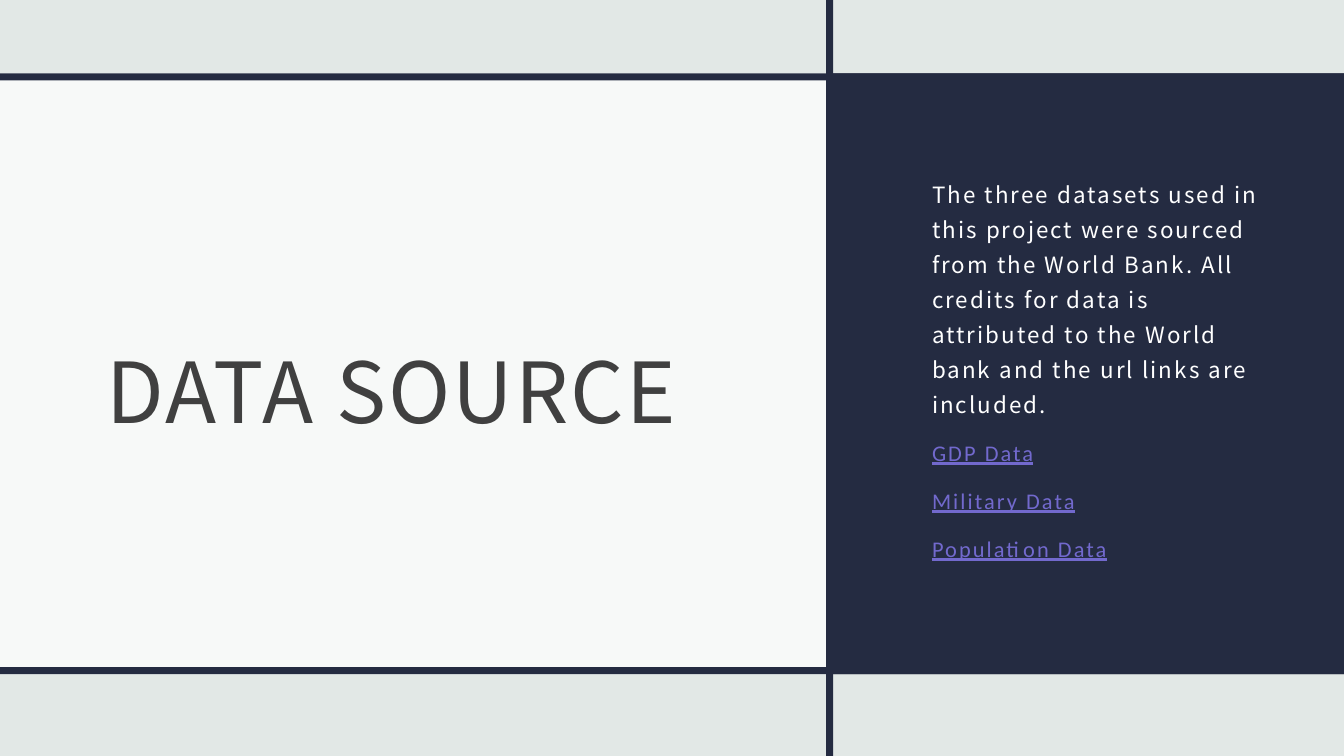
from lxml.etree import SubElement
from pptx import Presentation
from pptx.dml.color import RGBColor
from pptx.enum.shapes import MSO_SHAPE
from pptx.enum.text import MSO_ANCHOR
from pptx.oxml.ns import qn
from pptx.util import Cm, Pt

NAVY = RGBColor(0x24, 0x2B, 0x41)
MIST = RGBColor(0xE2, 0xE8, 0xE6)
WHITE = RGBColor(0xFF, 0xFF, 0xFF)
GRAY = RGBColor(0x40, 0x40, 0x40)
VIOLET = RGBColor(0x72, 0x69, 0xCD)

SANS = "Noto Sans CJK JP"
WIDTH, HEIGHT = 33.87, 19.05
BAR = 0.18
SPLIT = 20.82
BAND_TOP, BAND_HEIGHT = 1.85, 15.14

INTRO = ("The three datasets used in this project were sourced from the World Bank. "
         "All credits for data is attributed to the World bank and the url links are included.")
LINKS = ["GDP Data", "Military Data", "Population Data"]


def add_rect(slide, x, y, w, h, color, opacity=100):
    s = slide.shapes.add_shape(MSO_SHAPE.RECTANGLE, Cm(x), Cm(y), Cm(w), Cm(h))
    s.shadow.inherit = False
    s.fill.solid()
    s.fill.fore_color.rgb = color
    s.line.fill.background()
    if opacity < 100:
        clr = s._element.spPr.find(qn("a:solidFill"))[0]
        SubElement(clr, qn("a:alpha")).set("val", str(opacity * 1000))


def add_text_frame(slide, x, y, w, h, top_inset=0.3):
    tf = slide.shapes.add_textbox(Cm(x), Cm(y), Cm(w), Cm(h)).text_frame
    tf.word_wrap = True
    tf.vertical_anchor = MSO_ANCHOR.MIDDLE
    tf.margin_left = tf.margin_right = Cm(0.3)
    tf.margin_top, tf.margin_bottom = Cm(top_inset), Cm(0.25)
    return tf


def write(p, text, size, color, leading, font=SANS, underline=None):
    r = p.add_run()
    r.text = text
    r._r.get_or_add_rPr().set("spc", "150")
    p.line_spacing = Pt(leading)
    p.font.name = font
    p.font.size = Pt(size)
    p.font.color.rgb = color
    p.font.underline = underline


def main():
    prs = Presentation()
    prs.slide_width, prs.slide_height = Cm(WIDTH), Cm(HEIGHT)
    slide = prs.slides.add_slide(prs.slide_layouts[6])
    slide.background.fill.solid()
    slide.background.fill.fore_color.rgb = MIST

    add_rect(slide, 0, BAND_TOP, SPLIT, BAND_HEIGHT, WHITE, 75)
    tf = add_text_frame(slide, 2.39, 3.3, 16.69, 12.01)
    write(tf.paragraphs[0], "DATA SOURCE", 60, GRAY, 100)

    add_rect(slide, SPLIT, BAND_TOP, WIDTH - SPLIT, BAND_HEIGHT, NAVY)
    tf = add_text_frame(slide, 23.19, 2.82, 8.89, 11.84, 1.27)
    write(tf.paragraphs[0], INTRO, 16, WHITE, 25)
    for link in LINKS:
        p = tf.add_paragraph()
        p.space_before = Pt(9.3)
        write(p, link, 16, VIOLET, 25, "Calibri", True)

    add_rect(slide, SPLIT, 0, BAR, HEIGHT, NAVY)
    for y in (BAND_TOP, BAND_TOP + BAND_HEIGHT - BAR):
        add_rect(slide, 0, y, WIDTH, BAR, NAVY)
    prs.save("out.pptx")


if __name__ == "__main__":
    main()
